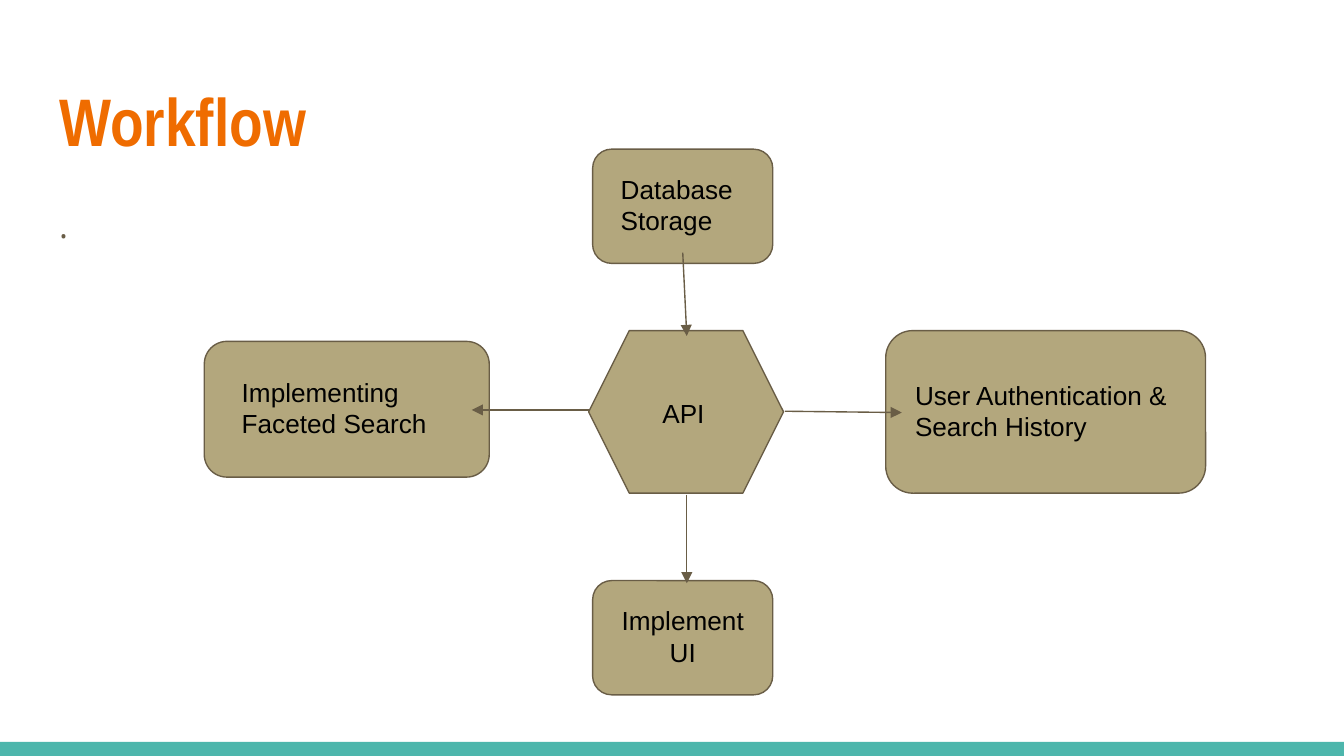
from lxml import etree
from pptx import Presentation
from pptx import util as u
from pptx.dml.color import RGBColor
from pptx.enum import shapes, text
from pptx.oxml.ns import qn

# Grid: 100 columns across the slide, square cells
CELL = u.Inches(10) // 100
COLORS = {"bar": "4DB6AC", "title": "EF6C00", "box": "B3A77D",
          "edge": "695D46", "label": "000000"}
LEFT, CENTER = text.PP_ALIGN.LEFT, text.PP_ALIGN.CENTER
ROUND = shapes.MSO_SHAPE.ROUNDED_RECTANGLE
HEXAGON = shapes.MSO_SHAPE.HEXAGON

# Columns and rows: left, top, width, height
STEPS = [
    (ROUND, (44.1, 11.1, 13.4, 8.5)),
    (ROUND, (15.2, 25.4, 21.2, 10.1)),
    (ROUND, (65.9, 24.6, 23.8, 12.1)),
    (ROUND, (44.1, 43.2, 13.4, 8.5)),
    (HEXAGON, (43.8, 24.6, 14.5, 12.1)),
]
LABELS = [
    ("Database\nStorage", (45.2, 11.9, 11.2, 6.9), LEFT),
    ("Implementing\nFaceted Search", (17, 27, 18.2, 6.9), LEFT),
    ("API", (48.3, 28.6, 11.2, 6.9), LEFT),
    ("User Authentication & Search History", (67.1, 27.2, 21.2, 6.9), LEFT),
    ("Implement\nUI", (45.2, 44, 11.2, 6.9), CENTER),
]
# Start column and row, end column and row
ARROWS = [
    (50.8, 18.8, 51.1, 25),
    (58.4, 30.6, 67.1, 30.7),
    (43.9, 30.5, 35.1, 30.5),
    (51.1, 36.8, 51.1, 43.4),
]


def grid(*cells):
    return [round(cell * CELL) for cell in cells]


def color(name):
    return RGBColor.from_string(COLORS[name])


def write(shape, words, size, font, ink, align=LEFT, bold=False):
    frame = shape.text_frame
    frame.text = words
    frame.word_wrap = True
    frame.auto_size = text.MSO_AUTO_SIZE.NONE
    frame.vertical_anchor = text.MSO_ANCHOR.TOP
    frame.margin_left = frame.margin_right = CELL
    frame.margin_top = frame.margin_bottom = CELL
    for paragraph in frame.paragraphs:
        paragraph.alignment = align
        paragraph.space_before = u.Pt(0)
        for run in paragraph.runs:
            run.font.size = u.Pt(size)
            run.font.name = font
            run.font.bold = bold
            run.font.color.rgb = color(ink)


def fill_placeholder(placeholder, area, *style, **options):
    (placeholder.left, placeholder.top,
     placeholder.width, placeholder.height) = grid(*area)
    write(placeholder, *style, **options)


def add_block(slide, kind, area, fill, edge=None):
    block = slide.shapes.add_shape(kind, *grid(*area))
    block.shadow.inherit = False
    block.fill.solid()
    block.fill.fore_color.rgb = color(fill)
    if edge:
        block.line.color.rgb = color(edge)
        block.line.width = u.Pt(0.75)
    else:
        block.line.fill.background()


def add_label(slide, words, area, align):
    label = slide.shapes.add_textbox(*grid(*area))
    write(label, words, 14, "Arial", "label", align)


def add_arrow(slide, ends):
    arrow = slide.shapes.add_connector(
        shapes.MSO_CONNECTOR.STRAIGHT, *grid(*ends))
    arrow.line.color.rgb = color("edge")
    arrow.line.width = u.Pt(0.75)
    properties = arrow.line._get_or_add_ln()
    etree.SubElement(properties, qn("a:tailEnd"), type="triangle")
    etree.SubElement(arrow._element.spPr, qn("a:effectLst"))


def main():
    deck = Presentation()
    deck.slide_width, deck.slide_height = grid(100, 56.25)
    slide = deck.slides.add_slide(deck.slide_layouts[1])

    # Title and body
    title, body = slide.placeholders
    fill_placeholder(title, (3.4, 4.9, 93.2, 7.7), "Workflow", 36,
                     "Arial Narrow", "title", bold=True)
    fill_placeholder(body, (3.4, 13.8, 93.2, 36.1), ".", 18,
                     "Open Sans", "edge")
    remark = body.text_frame.paragraphs[0]
    remark.line_spacing = 1.15
    remark.space_after = u.Pt(16)
    layout = remark._p.get_or_add_pPr()
    layout.set("marL", "0")
    layout.set("indent", "0")
    etree.SubElement(layout, qn("a:buNone"))

    # Footer bar
    add_block(slide, shapes.MSO_SHAPE.RECTANGLE, (0, 55.2, 100, 1.05), "bar")

    # Workflow diagram
    for kind, area in STEPS:
        add_block(slide, kind, area, "box", "edge")
    for words, area, align in LABELS:
        add_label(slide, words, area, align)
    for ends in ARROWS:
        add_arrow(slide, ends)

    deck.save("out.pptx")


if __name__ == "__main__":
    main()
